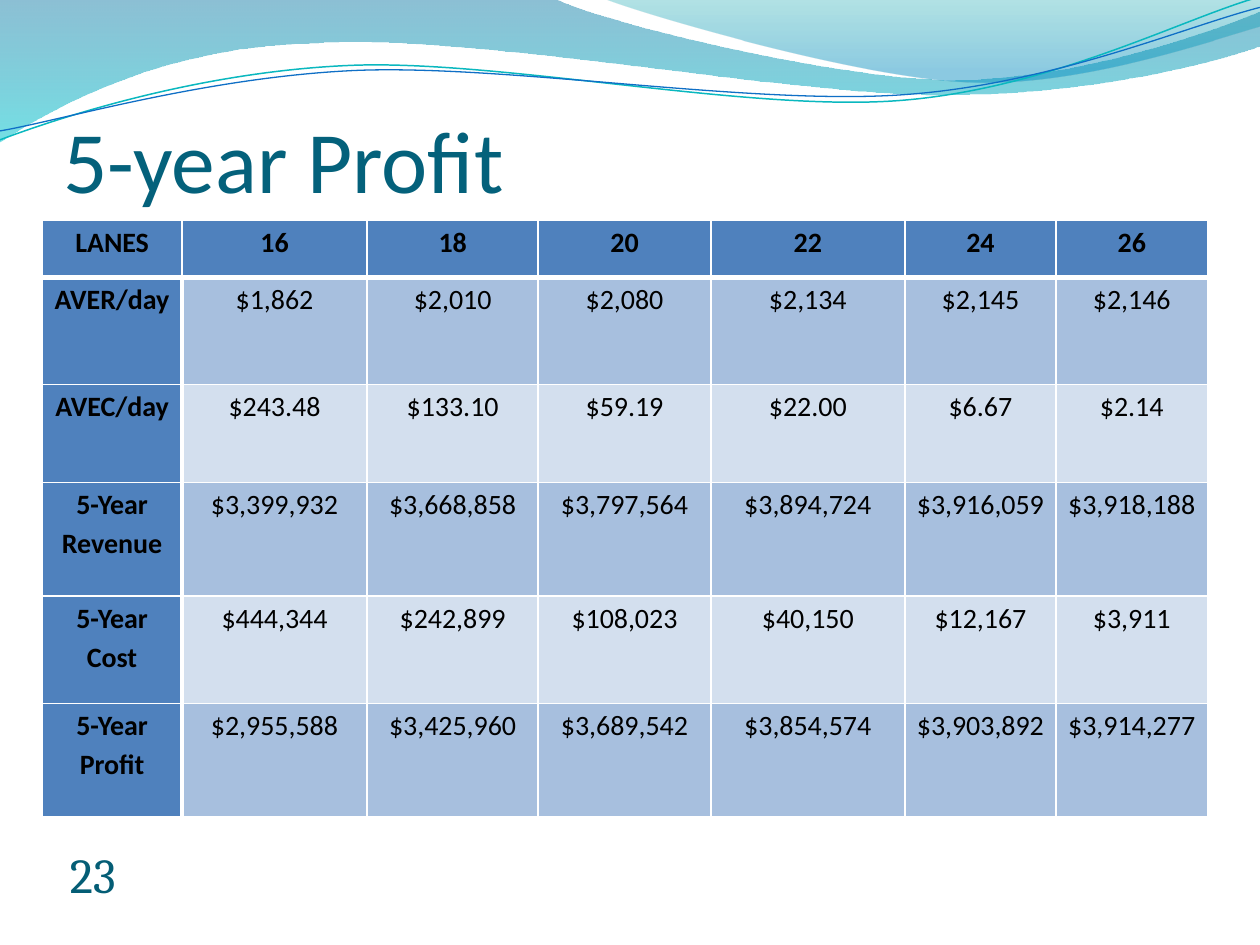
from dataclasses import dataclass

from lxml.etree import SubElement
from pptx import Presentation
from pptx.dml.color import RGBColor
from pptx.enum.text import MSO_ANCHOR, PP_ALIGN
from pptx.oxml.ns import qn
from pptx.util import Cm, Pt

TITLE_TEAL = RGBColor(0x04, 0x61, 0x7B)
NUMBER_TEAL = RGBColor(0x04, 0x5D, 0x75)
LINE_TEAL = RGBColor(0x0A, 0xB8, 0xBF)
LINE_BLUE = RGBColor(0x0F, 0x6F, 0xC6)
HEADER_BLUE = RGBColor(0x4F, 0x81, 0xBD)
BAND_DARK = RGBColor(0xA7, 0xBF, 0xDE)
BAND_LIGHT = RGBColor(0xD3, 0xDF, 0xEE)
BLACK = RGBColor(0, 0, 0)
WHITE = RGBColor(0xFF, 0xFF, 0xFF)


@dataclass
class GradientStop:
    """Colour, position from 0 to 1 and opacity in percent."""
    color: RGBColor
    position: float
    opacity: int


@dataclass
class Wave:
    """Outline in cm: two numbers make a line, six make a Bezier curve."""
    start: tuple
    segments: list
    stops: tuple = ()
    line_color: RGBColor | None = None
    line_width: float = 0


WAVES = [
    Wave((0, 0), [
        (11.18, -0.03),
        (12.09, 0.43, 16.87, 1.6, 19.25, 1.6),
        (21.67, 1.6, 24.33, 0.66, 25.4, 0.23),
        (25.43, 0.91),
        (24.97, 1.12, 22.1, 1.93, 18.95, 1.91),
        (15.8, 1.91, 9.7, 0.71, 6.53, 0.86),
        (3.28, 0.91, 1.17, 2.11, -0.03, 2.87),
        (0, 0),
    ], stops=(GradientStop(RGBColor(0x00, 0x74, 0xA1), 0, 45),
              GradientStop(RGBColor(0x00, 0xC6, 0xCF), 1, 55))),
    Wave((12.17, -0.03), [
        (12.93, 0.28, 17.32, 1.57, 19.53, 1.65),
        (21.74, 1.75, 24.41, 0.81, 25.4, 0.53),
        (25.4, 0),
        (12.17, -0.03),
    ], stops=(GradientStop(RGBColor(0x00, 0xA1, 0xA9), 0, 30),
              GradientStop(RGBColor(0x00, 0x8B, 0xBF), 0.8, 45))),
    Wave((0, 2.82), [
        (1.22, 2.36, 4.01, 1.45, 7.04, 1.32),
        (10.03, 1.19, 15.06, 2.26, 18.11, 2.03),
        (21.16, 1.8, 23.83, 0.38, 25.35, -0.05),
    ], line_color=LINE_TEAL, line_width=0.85),
    Wave((0, 2.64), [
        (1.19, 2.44, 4.17, 1.55, 7.19, 1.42),
        (10.24, 1.3, 15.16, 2.13, 18.21, 1.91),
        (21.23, 1.7, 23.9, 0.53, 25.4, 0.15),
    ], line_color=LINE_BLUE, line_width=0.75),
]

COLUMN_WIDTHS = [2.82, 3.73, 3.45, 3.48, 3.91, 3.05, 3.05]
ROW_HEIGHTS = [1.14, 2.16, 1.98, 2.29, 2.16, 2.29]
PROFIT_ROWS = [
    ["LANES", "16", "18", "20", "22", "24", "26"],
    ["AVER/day", "$1,862", "$2,010", "$2,080", "$2,134", "$2,145", "$2,146"],
    ["AVEC/day", "$243.48", "$133.10", "$59.19", "$22.00", "$6.67", "$2.14"],
    ["5-Year Revenue", "$3,399,932", "$3,668,858", "$3,797,564",
     "$3,894,724", "$3,916,059", "$3,918,188"],
    ["5-Year Cost", "$444,344", "$242,899", "$108,023",
     "$40,150", "$12,167", "$3,911"],
    ["5-Year Profit", "$2,955,588", "$3,425,960", "$3,689,542",
     "$3,854,574", "$3,903,892", "$3,914,277"],
]


def bend_segments(shape, segments: list) -> None:
    """Join the three lines of each six-number segment into one curve."""
    lines = iter(list(shape.element.iter(qn("a:lnTo"))))
    for segment in segments:
        line = next(lines)
        if len(segment) == 6:
            line.tag_name = None
            curve = line.makeelement(qn("a:cubicBezTo"))
            line.addprevious(curve)
            for corner in (line, next(lines), next(lines)):
                curve.append(corner[0])
                corner.getparent().remove(corner)


def add_wave(slide, wave: Wave) -> None:
    """Draw a gradient band or an open wavy line."""
    builder = slide.shapes.build_freeform(Cm(wave.start[0]), Cm(wave.start[1]))
    builder.add_line_segments(
        [(Cm(x), Cm(y)) for segment in wave.segments
         for x, y in zip(segment[::2], segment[1::2])],
        close=bool(wave.stops))
    shape = builder.convert_to_shape()
    bend_segments(shape, wave.segments)
    shape.shadow.inherit = False
    if not wave.stops:
        shape.fill.background()
        shape.line.color.rgb = wave.line_color
        shape.line.width = Pt(wave.line_width)
        return
    shape.line.fill.background()
    shape.fill.gradient()
    shape.fill.gradient_angle = 270
    for gradient_stop, stop in zip(shape.fill.gradient_stops, wave.stops):
        gradient_stop.color.rgb = stop.color
        gradient_stop.position = stop.position
    for color, stop in zip(shape.element.iter(qn("a:srgbClr")), wave.stops):
        SubElement(color, qn("a:alpha"), val=str(stop.opacity * 1000))


def add_text(paragraph, text: str, font: str, size: float,
             color: RGBColor, bold: bool = False) -> None:
    """Add one formatted run to a paragraph."""
    run = paragraph.add_run()
    run.text = text
    run.font.name = font
    run.font.size = Pt(size)
    run.font.bold = bold
    run.font.color.rgb = color


def set_insets(text_frame, top: float = 0) -> None:
    """Anchor text to the bottom with no insets but the top one."""
    text_frame.word_wrap = True
    text_frame.vertical_anchor = MSO_ANCHOR.BOTTOM
    text_frame.margin_left = text_frame.margin_right = Cm(0)
    text_frame.margin_top, text_frame.margin_bottom = Cm(top), Cm(0)


def set_borders(cell, widths: dict) -> None:
    """Give a cell white borders, with widths in points by side."""
    properties = cell._tc.get_or_add_tcPr()
    for side, width in widths.items():
        line = SubElement(properties, qn(f"a:ln{side}"), w=str(Pt(width)))
        fill = SubElement(line, qn("a:solidFill"))
        SubElement(fill, qn("a:srgbClr"), val=str(WHITE))


def add_profit_table(slide) -> None:
    """Add the table with its header row, header column and banded rows."""
    table = slide.shapes.add_table(
        len(ROW_HEIGHTS), len(COLUMN_WIDTHS), Cm(0.85), Cm(4.45),
        Cm(sum(COLUMN_WIDTHS)), Cm(sum(ROW_HEIGHTS))).table
    for column, width in zip(table.columns, COLUMN_WIDTHS):
        column.width = Cm(width)
    for row, height in zip(table.rows, ROW_HEIGHTS):
        row.height = Cm(height)
    for i, values in enumerate(PROFIT_ROWS):
        for j, value in enumerate(values):
            cell = table.cell(i, j)
            header = i == 0 or j == 0
            set_borders(cell, {"L": 3 if i and j == 1 else 1,
                               "R": 3 if i and j == 0 else 1,
                               "T": 3 if i == 1 else 1,
                               "B": 3 if i == 0 else 1})
            cell.fill.solid()
            cell.fill.fore_color.rgb = (
                HEADER_BLUE if header else BAND_DARK if i % 2 else BAND_LIGHT)
            cell.margin_left = cell.margin_right = Cm(0.18)
            cell.margin_top = cell.margin_bottom = Cm(0)
            paragraph = cell.text_frame.paragraphs[0]
            paragraph.alignment = PP_ALIGN.CENTER
            paragraph.line_spacing = 1.15
            add_text(paragraph, value, "Calibri", 16, BLACK, header)


presentation = Presentation()
presentation.slide_width, presentation.slide_height = Cm(25.4), Cm(19.05)
slide = presentation.slides.add_slide(presentation.slide_layouts[5])
for wave in WAVES:
    add_wave(slide, wave)

title = slide.shapes.title
slide.shapes.element.append(title.element)
title.left, title.top = Cm(1.27), Cm(1.07)
title.width, title.height = Cm(22.86), Cm(3.18)
set_insets(title.text_frame, top=0.13)
title_paragraph = title.text_frame.paragraphs[0]
title_paragraph.alignment = PP_ALIGN.LEFT
add_text(title_paragraph, "5-year Profit", "Calibri", 50, TITLE_TEAL)

number_box = slide.shapes.add_textbox(Cm(0.85), Cm(17.15), Cm(1.48), Cm(1.06))
set_insets(number_box.text_frame)
number_paragraph = number_box.text_frame.paragraphs[0]
number_paragraph.alignment = PP_ALIGN.RIGHT
add_text(number_paragraph, "23", "Cambria", 28, NUMBER_TEAL)

add_profit_table(slide)
presentation.save("out.pptx")
